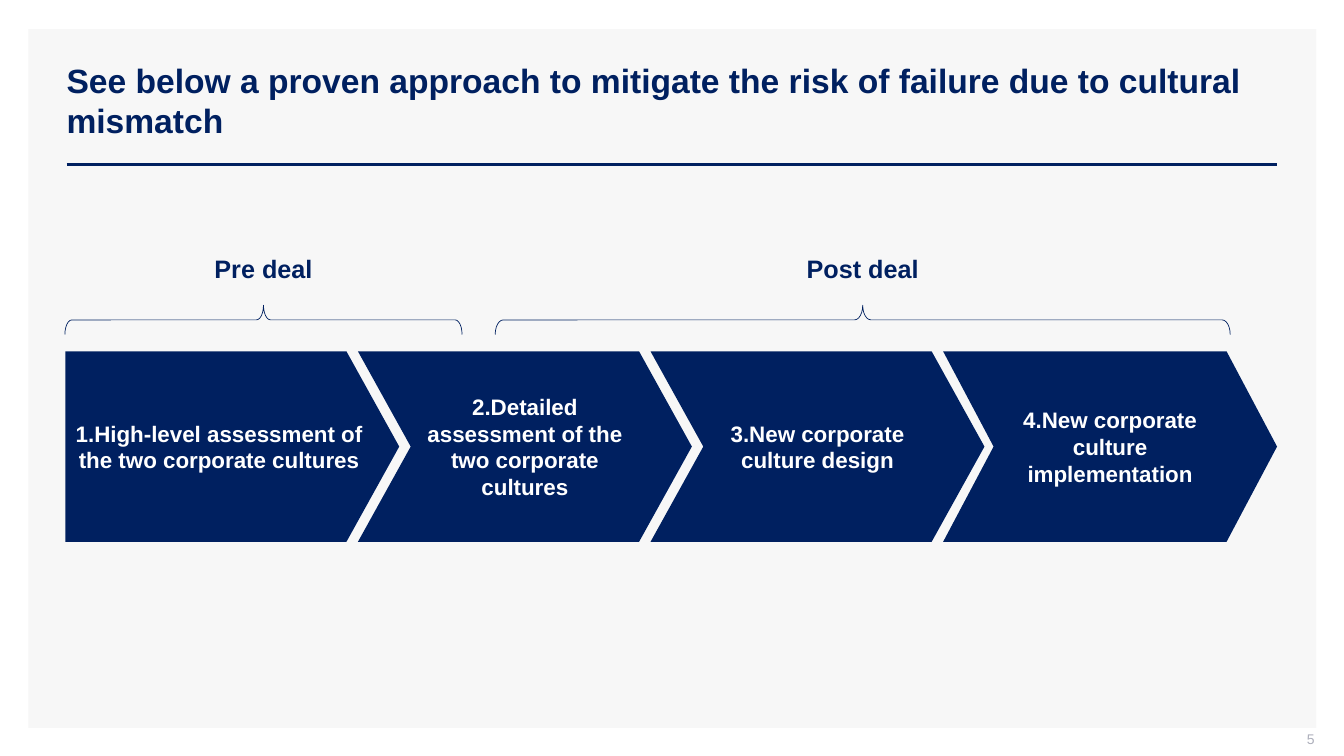
from lxml import etree
from pptx import Presentation
from pptx.dml.color import RGBColor
from pptx.enum.shapes import MSO_CONNECTOR, MSO_SHAPE
from pptx.enum.text import MSO_ANCHOR, MSO_AUTO_SIZE, PP_ALIGN
from pptx.oxml.ns import qn
from pptx.util import Pt

CENTER, LEFT, RIGHT = PP_ALIGN.CENTER, PP_ALIGN.LEFT, PP_ALIGN.RIGHT
MIDDLE, NO_FIT = MSO_ANCHOR.MIDDLE, MSO_AUTO_SIZE.NONE
RECTANGLE, PENTAGON, CHEVRON, BRACE = (
    MSO_SHAPE.RECTANGLE, MSO_SHAPE.PENTAGON, MSO_SHAPE.CHEVRON, MSO_SHAPE.LEFT_BRACE)
NAVY, WHITE, PANEL_GREY, NUMBER_GREY = "002060", "FFFFFF", "F7F7F7", "ADAFBB"


def color(code):
    return RGBColor.from_string(code)


def write(box, text, size, code, align, margins, bold=True):
    """Fill a box with one paragraph; margins run left, top, right, bottom."""
    frame = box.text_frame
    layout = {"word_wrap": True, "auto_size": NO_FIT, "vertical_anchor": MIDDLE}
    for side, margin in zip(("left", "top", "right", "bottom"), margins):
        layout[f"margin_{side}"] = Pt(margin)
    for name, value in layout.items():
        setattr(frame, name, value)
    para = frame.paragraphs[0]
    para.alignment = align
    span = para.add_run()
    span.text = text
    for name, value in {"name": "Arial", "size": Pt(size), "bold": bold}.items():
        setattr(span.font, name, value)
    span.font.color.rgb = color(code)


deck = Presentation()
deck.slide_width, deck.slide_height = Pt(960), Pt(540)
page = deck.slides.add_slide(deck.slide_layouts.get_by_name("Title Only"))

# Title on its grey panel, with the rule below
title = page.shapes.title
title.left, title.top, title.width, title.height = Pt(40.3), Pt(28.8), Pt(872), Pt(85.7)
write(title, "See below a proven approach to mitigate the risk of failure due to cultural mismatch",
      24, NAVY, LEFT, (7.2, 3.6, 7.2, 3.6))

panel = page.shapes.add_shape(RECTANGLE, Pt(20.2), Pt(20.9), Pt(920), Pt(499))
panel.shadow.inherit = False
panel.fill.solid()
panel.fill.fore_color.rgb = color(PANEL_GREY)
panel.line.fill.background()
title.element.addprevious(panel.element)

rule = page.shapes.add_connector(MSO_CONNECTOR.STRAIGHT, Pt(47.7), Pt(117.4), Pt(912), Pt(117.4))
rule.line.color.rgb = color(NAVY)
rule.line.width = Pt(2)
etree.SubElement(rule.element.spPr, qn("a:effectLst"))

number = page.shapes.add_textbox(Pt(723), Pt(522), Pt(216), Pt(15.1))
write(number, "5", 10, NUMBER_GREY, RIGHT, (7.2, 0, 0, 3.6), bold=False)

# Process steps
STEP_LEFT, STEP_PITCH = 46.7, 209
steps = [
    ("1.High-level assessment of the two corporate cultures", PENTAGON, 0.277, 7.2),
    ("2.Detailed assessment of the two corporate cultures", CHEVRON, 0.277, 0),
    ("3.New corporate culture design", CHEVRON, 0.277, 0),
    ("4.New corporate culture implementation", CHEVRON, 0.265, 0),
]
for index, (text, kind, point, margin) in enumerate(steps):
    step = page.shapes.add_shape(
        kind, Pt(STEP_LEFT + index * STEP_PITCH), Pt(251), Pt(238.5), Pt(136))
    step.adjustments[0] = point
    step.shadow.inherit = False
    step.fill.solid()
    step.fill.fore_color.rgb = color(NAVY)
    step.line.fill.background()
    write(step, text, 16, WHITE, CENTER, (margin, 3.6, margin, 3.6))

# Phases: a label over a brace turned on its side
BRACE_DEPTH, BRACE_MIDDLE = 20.9, 228.5
LABEL_WIDTH = 142.6
phases = [("Pre deal", 188.2, 283.7, 0.239), ("Post deal", 616.2, 525, 0.277)]
for text, center, length, curve in phases:
    brace = page.shapes.add_shape(
        BRACE, Pt(center - BRACE_DEPTH / 2), Pt(BRACE_MIDDLE - length / 2),
        Pt(BRACE_DEPTH), Pt(length))
    brace.rotation = 90
    brace.adjustments[0] = curve
    brace.shadow.inherit = False
    brace.fill.background()
    brace.line.color.rgb = color(NAVY)
    brace.line.width = Pt(0.5)

    label = page.shapes.add_textbox(
        Pt(center - LABEL_WIDTH / 2), Pt(176.4), Pt(LABEL_WIDTH), Pt(30.2))
    write(label, text, 18, NAVY, CENTER, (0, 0, 0, 0))

deck.save("out.pptx")
